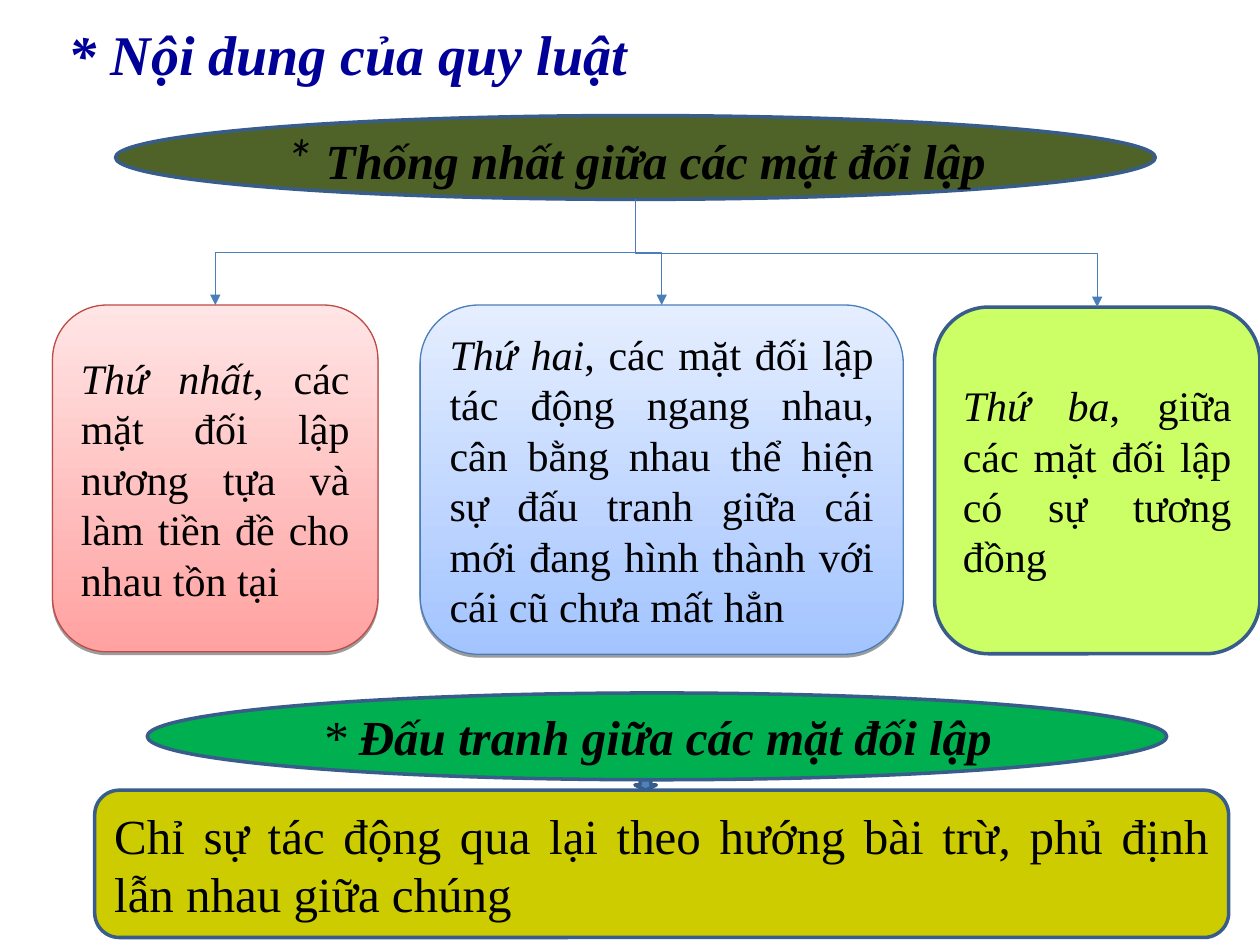
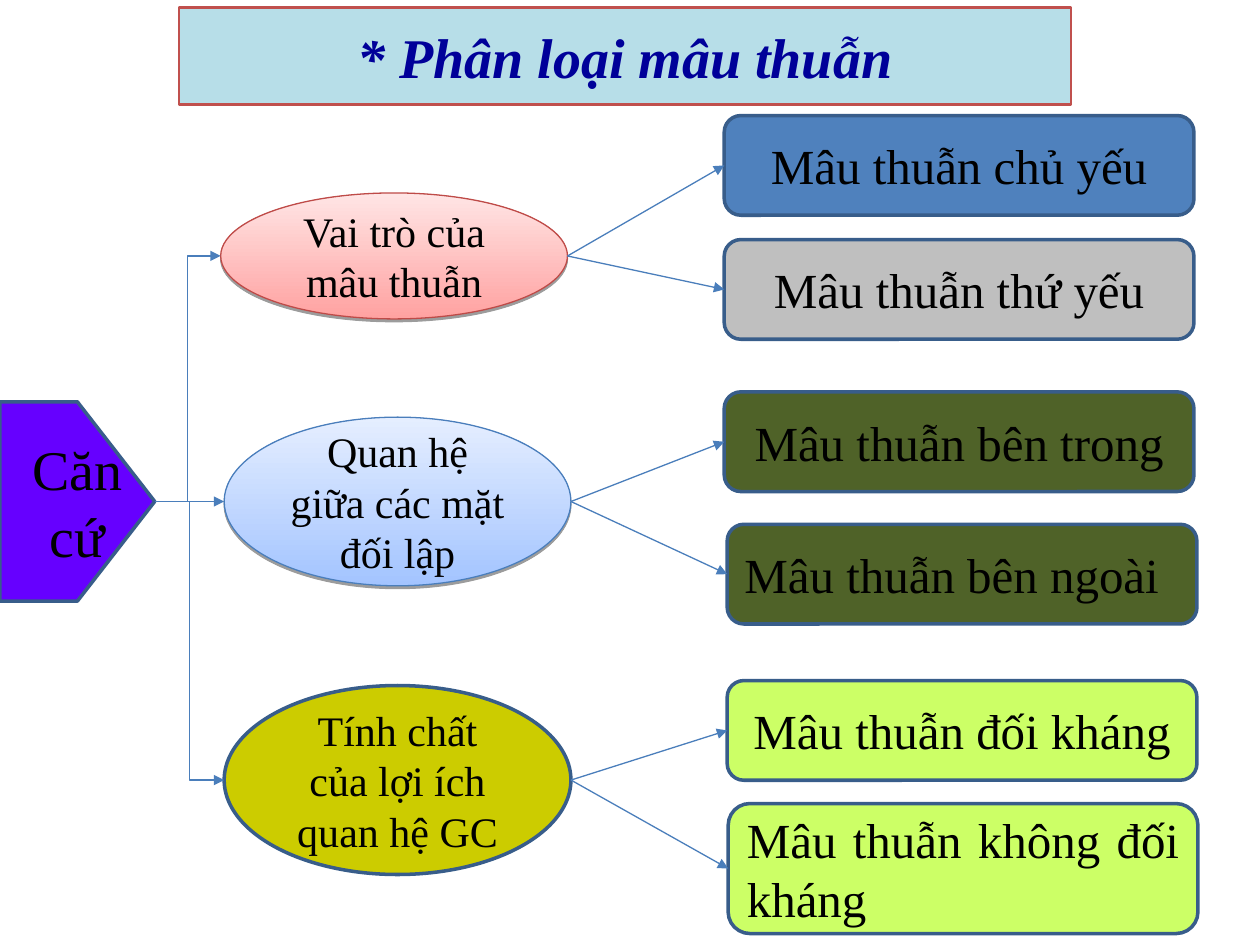
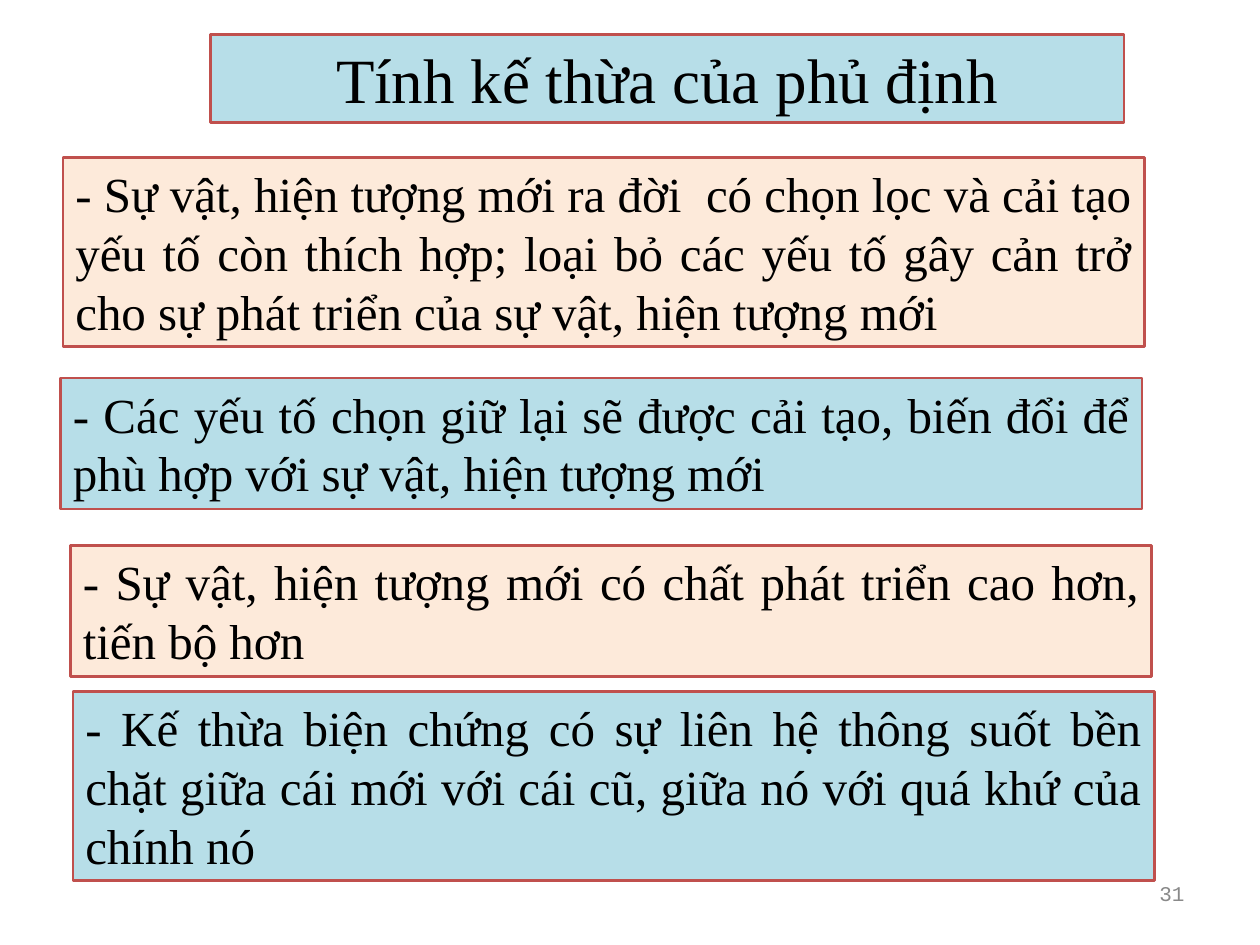
from dataclasses import dataclass
from typing import NamedTuple

from lxml.etree import SubElement
from pptx import Presentation
from pptx.dml.color import RGBColor
from pptx.enum.shapes import MSO_CONNECTOR as Link, MSO_SHAPE as Preset
from pptx.enum.text import MSO_ANCHOR as Anchor, MSO_AUTO_SIZE as AutoSize, PP_ALIGN as Align
from pptx.oxml.ns import qn
from pptx.util import Cm, Pt


@dataclass(frozen=True)
class Theme:
    font: str = "Times New Roman"
    asterisk_font: str = "Calibri"
    number_font: str = "Courier New"
    heading_size: int = 36
    title_size: int = 32
    large_size: int = 28
    text_size: int = 24
    number_size: int = 12
    black: str = "000000"
    navy: str = "000099"
    grey_text: str = "898989"
    blue: str = "4F81BD"
    olive: str = "4F6228"
    green: str = "00B050"
    lime: str = "CCFF66"
    mustard: str = "CCCC00"
    violet: str = "6600FF"
    silver: str = "BFBFBF"
    sky: str = "B7DEE8"
    peach: str = "FDEADA"
    border: str = "385D8A"
    red_border: str = "C0504D"
    arrow: str = "4A7EBB"


THEME = Theme()


class Point(NamedTuple):
    x: float
    y: float


class Frame(NamedTuple):
    """A rectangle in centimetres, with the middle of each side."""
    left: float
    top: float
    width: float
    height: float

    @property
    def north(self) -> Point:
        return Point(self.left + self.width / 2, self.top)

    @property
    def south(self) -> Point:
        return Point(self.left + self.width / 2, self.top + self.height)

    @property
    def west(self) -> Point:
        return Point(self.left, self.top + self.height / 2)

    @property
    def east(self) -> Point:
        return Point(self.left + self.width, self.top + self.height / 2)

    def lengths(self) -> list:
        return [Cm(value) for value in self]


@dataclass(frozen=True)
class Look:
    """Fill and outline; a second colour makes an upward gradient with a shadow."""
    fill: str
    line: str = THEME.border
    weight: float = 2
    fade_to: str = ""


@dataclass(frozen=True)
class Span:
    text: str
    size: int = THEME.large_size
    bold: bool = False
    italic: bool = False
    color: str = THEME.black
    font: str = THEME.font


@dataclass(frozen=True)
class Node:
    frame: Frame
    look: Look
    spans: tuple = ()
    preset: Preset = Preset.ROUNDED_RECTANGLE
    align: Align = Align.CENTER
    anchor: Anchor = Anchor.MIDDLE
    auto_size: AutoSize = AutoSize.NONE


PINK = Look("FFA2A1", "BE4B48", 0.75, "FFE5E5")
PALE_BLUE = Look("A3C4FF", THEME.arrow, 0.75, "E5EEFF")
LIME = Look(THEME.lime)
OLIVE = Look(THEME.olive)
MUSTARD = Look(THEME.mustard)
SKY_PANEL = Look(THEME.sky, THEME.red_border, 1.5)
PEACH_PANEL = Look(THEME.peach, THEME.red_border, 1.5)


def rgb(color: str) -> RGBColor:
    return RGBColor.from_string(color)


def apply_look(shape, look: Look) -> None:
    shape.shadow.inherit = False
    if look.fade_to:
        shape.fill.gradient()
        shape.fill.gradient_angle = 90
        for stop, color in zip(shape.fill.gradient_stops, (look.fill, look.fade_to)):
            stop.color.rgb = rgb(color)
        effects = shape.element.spPr.find(qn("a:effectLst"))
        shadow = SubElement(effects, qn("a:outerShdw"), blurRad="0", dist="20000",
                            dir="5400000", rotWithShape="0")
        black = SubElement(shadow, qn("a:srgbClr"), val=THEME.black)
        SubElement(black, qn("a:alpha"), val="38000")
    else:
        shape.fill.solid()
        shape.fill.fore_color.rgb = rgb(look.fill)
    shape.line.color.rgb = rgb(look.line)
    shape.line.width = Pt(look.weight)


def write(shape, spans: tuple, align: Align = Align.CENTER, anchor: Anchor = Anchor.MIDDLE,
          auto_size: AutoSize = AutoSize.NONE) -> None:
    box = shape.text_frame
    box.word_wrap = True
    box.auto_size = auto_size
    box.vertical_anchor = anchor
    para = box.paragraphs[0]
    para.alignment = align
    for span in spans:
        run = para.add_run()
        run.text = span.text
        run.font.name = span.font
        run.font.size = Pt(span.size)
        run.font.bold = span.bold
        run.font.italic = span.italic
        run.font.color.rgb = rgb(span.color)


def draw_node(page, node: Node) -> None:
    shape = page.shapes.add_shape(node.preset, *node.frame.lengths())
    apply_look(shape, node.look)
    if node.spans:
        write(shape, node.spans, node.align, node.anchor, node.auto_size)


def draw_tag(page, frame: Frame, look: Look, span: Span) -> None:
    """Draw a block pointing right whose text uses the full width."""
    left, top, width, height = frame
    outline = [(left + width / 2, top), frame.east, (left + width / 2, top + height),
               (left, top + height)]
    builder = page.shapes.build_freeform(Cm(left), Cm(top), scale=1.0)
    builder.add_line_segments([(Cm(x), Cm(y)) for x, y in outline], close=True)
    shape = builder.convert_to_shape()
    apply_look(shape, look)
    write(shape, (span,))


def draw_arrow(page, start: Point, end: Point, kind: Link = Link.STRAIGHT):
    arrow = page.shapes.add_connector(kind, *(Cm(value) for value in (*start, *end)))
    arrow.line.color.rgb = rgb(THEME.arrow)
    arrow.line.width = Pt(0.75)
    properties = arrow.element.spPr
    SubElement(properties.find(qn("a:ln")), qn("a:tailEnd"), type="triangle")
    SubElement(properties, qn("a:effectLst"))
    return arrow


def draw_falling_arrow(page, start: Point, end: Point) -> None:
    """Draw an elbow that leaves and arrives vertically: a turned sideways elbow."""
    center = Point((start.x + end.x) / 2, (start.y + end.y) / 2)
    half_drop = (end.y - start.y) / 2
    half_span = abs(end.x - start.x) / 2
    turn = 1 if end.x < start.x else -1
    arrow = draw_arrow(page,
                       Point(center.x - turn * half_drop, center.y - half_span),
                       Point(center.x + turn * half_drop, center.y + half_span),
                       Link.ELBOW)
    arrow.rotation = 90 if turn == 1 else 270


def add_page(deck, frame: Frame, span: Span, look: Look | None = None):
    page = deck.slides.add_slide(deck.slide_layouts.get_by_name("Title Only"))
    title = page.shapes.title
    title.left, title.top, title.width, title.height = frame.lengths()
    if look:
        apply_look(title, look)
    write(title, (span,))
    return page


def title_span(text: str) -> Span:
    return Span(text, THEME.title_size, True, True, THEME.navy)


def build_law_page(deck) -> None:
    page = add_page(deck, Frame(0.43, -0.2, 13.18, 2.54), title_span("* Nội dung của quy luật"))
    unity = Frame(2.33, 2.33, 20.96, 1.69)
    draw_node(page, Node(unity, OLIVE, (
        Span("* ", THEME.title_size, italic=True, font=THEME.asterisk_font),
        Span("Thống nhất giữa các mặt đối lập", bold=True, italic=True)), Preset.OVAL))
    aspects = [
        (Frame(1.06, 6.15, 6.56, 6.99), PINK, "Thứ nhất",
         ", các mặt đối lập nương tựa và làm tiền đề cho nhau tồn tại"),
        (Frame(8.47, 6.15, 9.74, 7.04), PALE_BLUE, "Thứ hai",
         ", các mặt đối lập tác động ngang nhau, cân bằng nhau thể hiện sự đấu tranh "
         "giữa cái mới đang hình thành với cái cũ chưa mất hẳn"),
        (Frame(18.84, 6.19, 6.56, 6.99), LIME, "Thứ ba",
         ", giữa các mặt đối lập có sự tương đồng"),
    ]
    for frame, look, order, content in aspects:
        spans = (Span(order, THEME.text_size, italic=True), Span(content, THEME.text_size))
        draw_node(page, Node(frame, look, spans, align=Align.JUSTIFY))
        draw_falling_arrow(page, unity.south, frame.north)
    draw_node(page, Node(Frame(2.97, 13.97, 20.55, 1.75), Look(THEME.green), (
        Span("* ", italic=True),
        Span("Đấu tranh giữa các mặt đối lập", bold=True, italic=True)), Preset.OVAL))
    draw_node(page, Node(Frame(1.91, 15.93, 22.86, 2.97), MUSTARD, (
        Span("Chỉ sự tác động qua lại theo hướng bài trừ, phủ định lẫn nhau giữa chúng"),),
        align=Align.JUSTIFY))
    draw_node(page, Node(Frame(12.8, 15.72, 0.43, 0.21), Look(THEME.blue),
                         preset=Preset.DOWN_ARROW))


def build_types_page(deck) -> None:
    page = add_page(deck, Frame(3.61, 0.15, 17.98, 1.96), title_span("* Phân loại mâu thuẫn"),
                    SKY_PANEL)
    basis = Frame(0, 8.1, 3.12, 4.02)
    draw_tag(page, basis, Look(THEME.violet), Span("Căn cứ", THEME.title_size))

    def kind(left: float, top: float, look: Look, text: str, height: float = 2.01,
             align: Align = Align.CENTER) -> Node:
        return Node(Frame(left, top, 9.47, height), look, (Span(text),), align=align)

    criteria = [
        (Frame(4.45, 3.89, 6.99, 2.54), PINK, "Vai trò của mâu thuẫn", Link.ELBOW,
         (kind(14.6, 2.33, Look(THEME.blue), "Mâu thuẫn chủ yếu"),
          kind(14.6, 4.83, Look(THEME.silver), "Mâu thuẫn thứ yếu"))),
        (Frame(4.52, 8.41, 6.99, 3.4), PALE_BLUE, "Quan hệ giữa các mặt đối lập", Link.STRAIGHT,
         (kind(14.6, 7.9, OLIVE, "Mâu thuẫn bên trong"),
          kind(14.66, 10.57, OLIVE, "Mâu thuẫn bên ngoài", align=Align.JUSTIFY))),
        (Frame(4.52, 13.82, 6.99, 3.81), MUSTARD, "Tính chất của lợi ích quan hệ GC", Link.ELBOW,
         (kind(14.66, 13.72, LIME, "Mâu thuẫn đối kháng"),
          kind(14.68, 16.2, LIME, "Mâu thuẫn không đối kháng", 2.62, Align.JUSTIFY))),
    ]
    for frame, look, text, link, kinds in criteria:
        draw_node(page, Node(frame, look, (Span(text, THEME.text_size),), Preset.OVAL))
        draw_arrow(page, basis.east, frame.west, link)
        for node in kinds:
            draw_node(page, node)
            draw_arrow(page, frame.east, node.frame.west)


def build_inheritance_page(deck) -> None:
    page = add_page(deck, Frame(4.24, 0.69, 18.42, 1.78),
                    Span("Tính kế thừa của phủ định", THEME.heading_size), SKY_PANEL)
    panels = [
        (1.27, 3.18, 3.81, PEACH_PANEL,
         "- Sự vật, hiện tượng mới ra đời  có chọn lọc và cải tạo yếu tố còn thích hợp; "
         "loại bỏ các yếu tố gây cản trở cho sự phát triển của sự vật, hiện tượng mới"),
        (1.22, 7.62, 2.64, SKY_PANEL,
         "- Các yếu tố chọn giữ lại sẽ được cải tạo, biến đổi để phù hợp với sự vật, "
         "hiện tượng mới"),
        (1.42, 11, 2.64, PEACH_PANEL,
         "- Sự vật, hiện tượng mới có chất phát triển cao hơn, tiến bộ hơn"),
        (1.47, 13.94, 3.81, SKY_PANEL,
         "- Kế thừa biện chứng có sự liên hệ thông suốt bền chặt giữa cái mới với cái cũ, "
         "giữa nó với quá khứ của chính nó"),
    ]
    for left, top, height, look, text in panels:
        draw_node(page, Node(Frame(left, top, 21.8, height), look, (Span(text),),
                             Preset.RECTANGLE, Align.JUSTIFY, Anchor.TOP,
                             AutoSize.SHAPE_TO_FIT_TEXT))
    number = page.shapes.add_textbox(*Frame(18.21, 17.35, 5.92, 1.32).lengths())
    write(number, (Span("31", THEME.number_size, color=THEME.grey_text,
                        font=THEME.number_font),), Align.RIGHT)


def main() -> None:
    deck = Presentation()
    deck.slide_width, deck.slide_height = Cm(25.4), Cm(19.05)
    build_law_page(deck)
    build_types_page(deck)
    build_inheritance_page(deck)
    deck.save("out.pptx")


if __name__ == "__main__":
    main()
